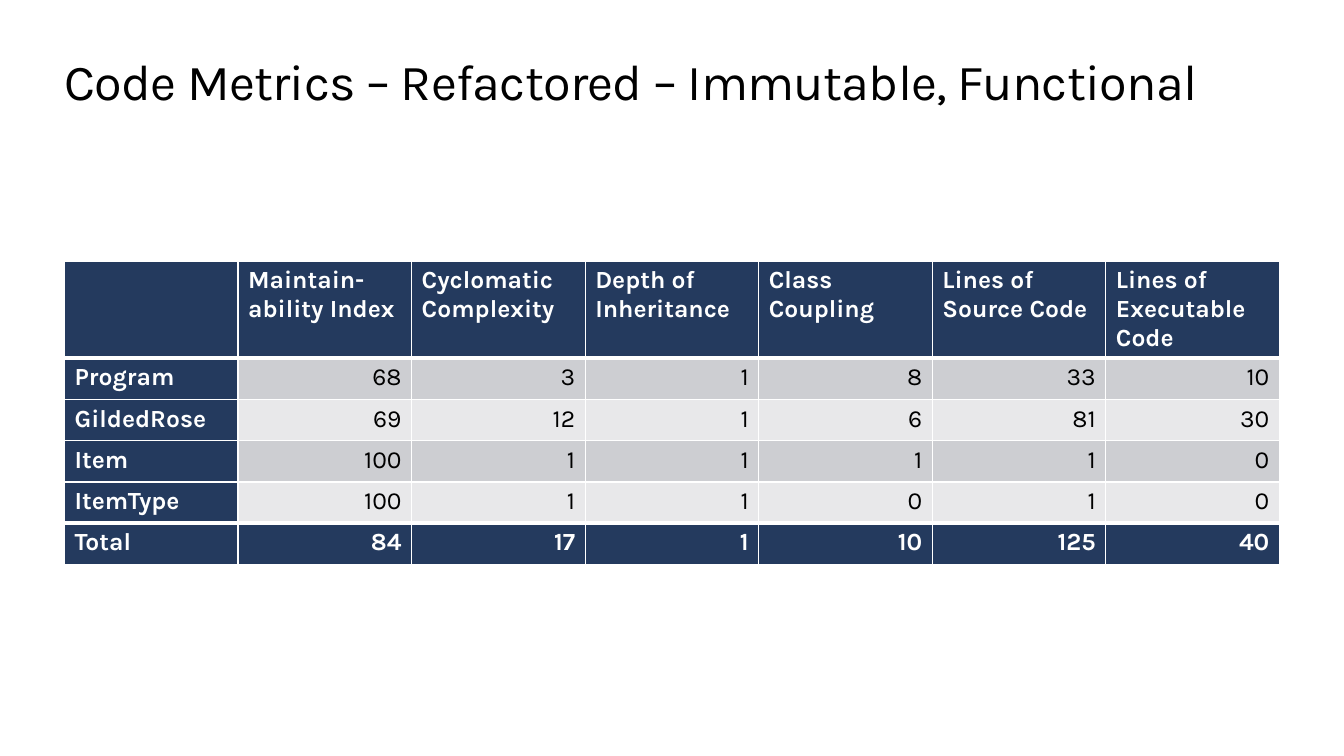
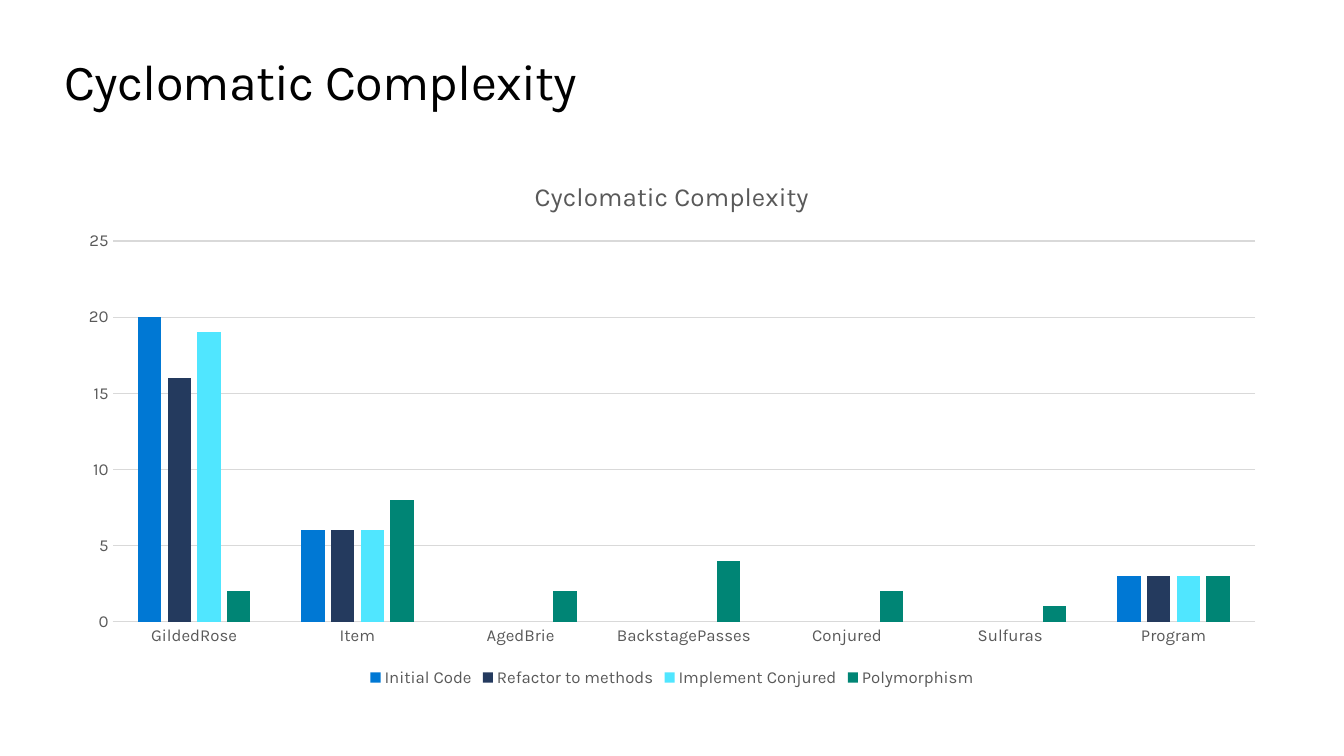
import pptx
import pptx.chart.data
import pptx.dml.color
import pptx.enum.chart
import pptx.enum.text
import pptx.oxml
import pptx.oxml.ns
import pptx.util

RGBColor = pptx.dml.color.RGBColor
Inches = pptx.util.Inches
Pt = pptx.util.Pt

BLACK = RGBColor(0x00, 0x00, 0x00)
WHITE = RGBColor(0xFF, 0xFF, 0xFF)
NAVY = RGBColor(0x24, 0x3A, 0x5E)
BLUE = RGBColor(0x00, 0x78, 0xD4)
CYAN = RGBColor(0x50, 0xE6, 0xFF)
GREEN = RGBColor(0x00, 0x85, 0x75)
DARK_BAND = RGBColor(0xCD, 0xCE, 0xD2)
LIGHT_BAND = RGBColor(0xE8, 0xE8, 0xEA)
LABEL_GREY = RGBColor(0x59, 0x59, 0x59)
GRID_GREY = RGBColor(0xD9, 0xD9, 0xD9)
FONT = "Karla"

presentation = pptx.Presentation()
presentation.slide_width = Inches(13.33)
presentation.slide_height = Inches(7.5)
MARGIN = Inches(0.64)
CONTENT_WIDTH = presentation.slide_width - 2 * MARGIN


def style_font(font, size, color, bold=False):
    font.name = FONT
    font.size = Pt(size)
    font.color.rgb = color
    font.bold = bold


def add_titled_slide(heading):
    slide = presentation.slides.add_slide(presentation.slide_layouts[5])
    title = slide.shapes.title
    title.left, title.top = MARGIN, Inches(0.5)
    title.width, title.height = CONTENT_WIDTH, Inches(0.61)
    frame = title.text_frame
    frame.text = heading
    frame.word_wrap = True
    frame.auto_size = pptx.enum.text.MSO_AUTO_SIZE.NONE
    frame.vertical_anchor = pptx.enum.text.MSO_ANCHOR.TOP
    frame.margin_left = frame.margin_right = frame.margin_top = frame.margin_bottom = 0
    paragraph = frame.paragraphs[0]
    paragraph.alignment = pptx.enum.text.PP_ALIGN.LEFT
    style_font(paragraph.font, 36, BLACK)
    paragraph.runs[0]._r.get_or_add_rPr().set("spc", "-50")
    return slide


metrics = [
    ["", "Maintain-ability Index", "Cyclomatic Complexity", "Depth of Inheritance",
     "Class Coupling", "Lines of Source Code", "Lines of Executable Code"],
    ["Program", 68, 3, 1, 8, 33, 10],
    ["GildedRose", 69, 12, 1, 6, 81, 30],
    ["Item", 100, 1, 1, 1, 1, 0],
    ["ItemType", 100, 1, 1, 0, 1, 0],
    ["Total", 84, 17, 1, 10, 125, 40],
]
row_count, column_count = len(metrics), len(metrics[0])
total_row = row_count - 1
header_height, row_height = Inches(0.95), Inches(0.41)

metrics_slide = add_titled_slide("Code Metrics – Refactored – Immutable, Functional")
metrics_table = metrics_slide.shapes.add_table(
    row_count, column_count, MARGIN, Inches(2.59), CONTENT_WIDTH,
    header_height + total_row * row_height).table
for column in metrics_table.columns:
    column.width = CONTENT_WIDTH // column_count
for r, values in enumerate(metrics):
    metrics_table.rows[r].height = row_height if r else header_height
    edges = {
        "lnL": 1,
        "lnR": 1,
        "lnT": 3 if r in (1, total_row) else 1,
        "lnB": 3 if r in (0, total_row - 1) else 1,
    }
    for c, value in enumerate(values):
        cell = metrics_table.cell(r, c)
        emphasized = r in (0, total_row) or c == 0
        for edge, points in edges.items():
            cell._tc.get_or_add_tcPr().append(pptx.oxml.parse_xml(
                f'<a:{edge} {pptx.oxml.ns.nsdecls("a")} w="{Pt(points)}">'
                f'<a:solidFill><a:srgbClr val="{WHITE}"/></a:solidFill></a:{edge}>'))
        cell.fill.solid()
        band = DARK_BAND if r % 2 else LIGHT_BAND
        cell.fill.fore_color.rgb = NAVY if emphasized else band
        cell.text = str(value)
        paragraph = cell.text_frame.paragraphs[0]
        style_font(paragraph.font, 17.6, WHITE if emphasized else BLACK, emphasized)
        if r and c:
            paragraph.alignment = pptx.enum.text.PP_ALIGN.RIGHT

complexity = pptx.chart.data.CategoryChartData()
complexity.categories = ["GildedRose", "Item", "AgedBrie", "BackstagePasses",
                         "Conjured", "Sulfuras", "Program"]
stages = [
    ("Initial Code", [20, 6, None, None, None, None, 3], BLUE),
    ("Refactor to methods", [16, 6, None, None, None, None, 3], NAVY),
    ("Implement Conjured", [19, 6, None, None, None, None, 3], CYAN),
    ("Polymorphism", [2, 8, 2, 4, 2, 1, 3], GREEN),
]
for name, values, color in stages:
    complexity.add_series(name, values)

complexity_slide = add_titled_slide("Cyclomatic Complexity")
chart = complexity_slide.shapes.add_chart(
    pptx.enum.chart.XL_CHART_TYPE.COLUMN_CLUSTERED, MARGIN, Inches(1.57),
    CONTENT_WIDTH, Inches(5.29), complexity).chart
style_font(chart.font, 10, BLACK)
chart.has_title = True
chart.chart_title.include_in_layout = False
chart.chart_title.text_frame.text = "Cyclomatic Complexity"
style_font(chart.chart_title.text_frame.paragraphs[0].font, 18.6, LABEL_GREY)
chart.has_legend = True
chart.legend.position = pptx.enum.chart.XL_LEGEND_POSITION.BOTTOM
chart.legend.include_in_layout = False
style_font(chart.legend.font, 12, LABEL_GREY)

columns = chart.plots[0]
columns.gap_width = 219
columns.overlap = -27
columns.vary_by_categories = False
for series, (name, values, color) in zip(columns.series, stages):
    series.format.fill.solid()
    series.format.fill.fore_color.rgb = color
    series.invert_if_negative = False

for axis in (chart.category_axis, chart.value_axis):
    axis.major_tick_mark = pptx.enum.chart.XL_TICK_MARK.NONE
    axis.minor_tick_mark = pptx.enum.chart.XL_TICK_MARK.NONE
    style_font(axis.tick_labels.font, 12, LABEL_GREY)
chart.value_axis.minimum_scale = 0
chart.value_axis.maximum_scale = 25
chart.value_axis.major_unit = 5
chart.value_axis.format.line.fill.background()
chart.value_axis.has_major_gridlines = True
for line in (chart.category_axis.format.line, chart.value_axis.major_gridlines.format.line):
    line.color.rgb = GRID_GREY
    line.width = Pt(0.75)

presentation.save("out.pptx")
